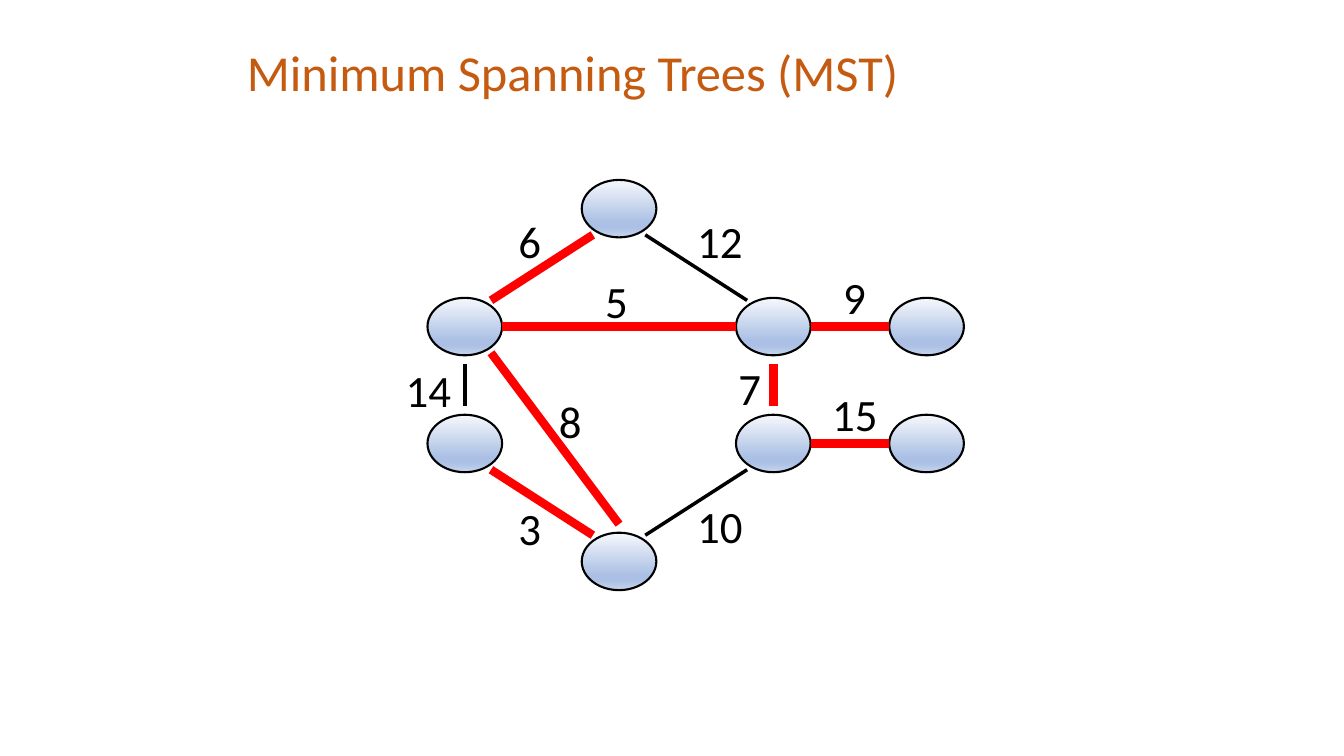
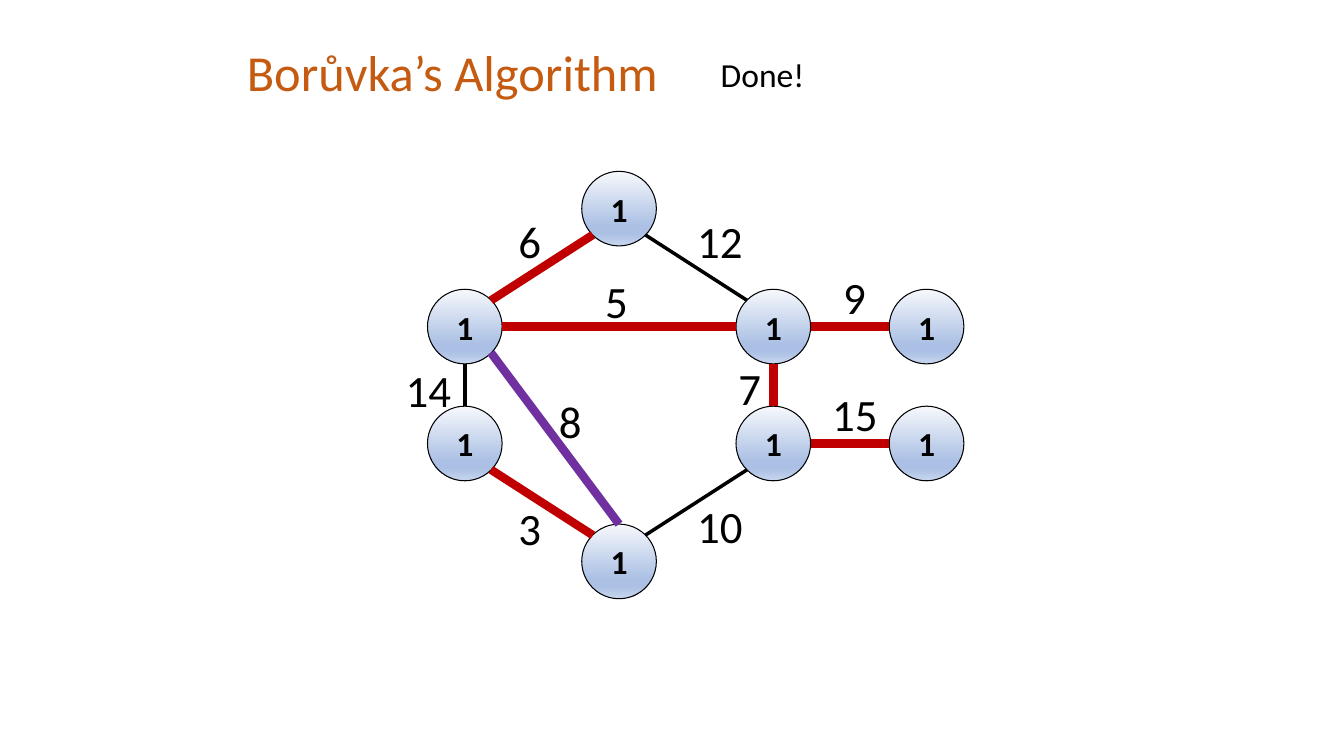
from copy import deepcopy

from lxml.etree import SubElement
from pptx import Presentation
from pptx.dml.color import RGBColor
from pptx.enum.shapes import MSO_CONNECTOR, MSO_SHAPE
from pptx.enum.text import MSO_ANCHOR, MSO_AUTO_SIZE, PP_ALIGN
from pptx.oxml.ns import qn
from pptx.util import Inches, Pt

FONT = "Calibri"
BLACK = "000000"
ORANGE = "C55A11"
RED = "FF0000"
DARK_RED = "C00000"
PURPLE = "7030A0"
NODE_GRADIENT = [(0, "F6F8FC"), (0.74, "ABC0E4"), (0.83, "ABC0E4"), (1, "C7D5ED")]

NODE_WIDTH = 0.74
COLUMNS = [4.61, 6.14, 7.67, 9.19]
ROWS = [2.07, 3.24, 4.4, 5.57]
NODES = {
    "top": (1, 0),
    "upper left": (0, 1),
    "upper right": (2, 1),
    "lower left": (0, 2),
    "lower right": (2, 2),
    "bottom": (1, 3),
    "upper far": (3, 1),
    "lower far": (3, 2),
}
REACH = 0.37
DIAGONAL = 0.26
SITES = {
    "N": (0, -REACH),
    "S": (0, REACH),
    "E": (REACH, 0),
    "W": (-REACH, 0),
    "NE": (DIAGONAL, -DIAGONAL),
    "NW": (-DIAGONAL, -DIAGONAL),
    "SE": (DIAGONAL, DIAGONAL),
    "SW": (-DIAGONAL, DIAGONAL),
}
EDGES = [
    (6, "upper left", "NE", "top", "SW", (5.04, 2.07)),
    (14, "upper left", "S", "lower left", "N", (3.92, 3.55)),
    (3, "bottom", "NW", "lower left", "SE", (5.04, 4.92)),
    (10, "lower right", "SW", "bottom", "NE", (6.81, 4.9)),
    (7, "lower right", "N", "upper right", "S", (7.22, 3.53)),
    (12, "upper right", "NW", "top", "SE", (6.81, 2.07)),
    (5, "upper left", "E", "upper right", "W", (5.9, 2.67)),
    (8, "upper left", "SE", "bottom", "N", (5.44, 3.86)),
    (9, "upper right", "E", "upper far", "W", (8.26, 2.63)),
    (15, "lower right", "E", "lower far", "W", (8.15, 3.79)),
]
TREE_WEIGHTS = [3, 5, 6, 7, 8, 9, 15]


def color(hex_code):
    """Turn a hex string into a colour."""
    return RGBColor.from_string(hex_code)


def write(paragraph, text, size, hex_code=BLACK, bold=False):
    """Add one styled run to a paragraph."""
    run = paragraph.add_run()
    run.text = text
    run.font.name = FONT
    run.font.size = Pt(size)
    run.font.bold = bold
    run.font.color.rgb = color(hex_code)


def add_title(slide, text):
    """Add the slide title."""
    title = slide.shapes.add_textbox(Inches(2.35), Inches(0.25), Inches(8.62), Inches(1))
    frame = title.text_frame
    frame.word_wrap = True
    frame.vertical_anchor = MSO_ANCHOR.MIDDLE
    frame.paragraphs[0].line_spacing = 0.9
    write(frame.paragraphs[0], text, 36, ORANGE)


def add_label(slide, text, position, width, height, size, align):
    """Add a short unwrapped text."""
    left, top = position
    label = slide.shapes.add_textbox(Inches(left), Inches(top), Inches(width), Inches(height))
    frame = label.text_frame
    frame.word_wrap = False
    frame.auto_size = MSO_AUTO_SIZE.SHAPE_TO_FIT_TEXT
    frame.paragraphs[0].alignment = align
    write(frame.paragraphs[0], text, size)


def fill_node(node):
    """Give a node its vertical four-stop gradient."""
    node.fill.gradient()
    node.fill.gradient_angle = 270
    stop_list = node._element.spPr.find(qn("a:gradFill")).find(qn("a:gsLst"))
    while len(stop_list) < len(NODE_GRADIENT):
        stop_list.append(deepcopy(stop_list[0]))
    for stop, (position, hex_code) in zip(node.fill.gradient_stops, NODE_GRADIENT):
        stop.position = position
        stop.color.rgb = color(hex_code)


def node_center(name):
    """Look up the centre of a node on the grid."""
    column, row = NODES[name]
    return COLUMNS[column], ROWS[row]


def add_node(slide, name, height, outline, component):
    """Add a graph node, with its component number if there is one."""
    x, y = node_center(name)
    node = slide.shapes.add_shape(
        MSO_SHAPE.OVAL, Inches(x - NODE_WIDTH / 2), Inches(y - height / 2),
        Inches(NODE_WIDTH), Inches(height))
    node.shadow.inherit = False
    fill_node(node)
    node.line.color.rgb = color(BLACK)
    node.line.width = Pt(outline)
    if component:
        node.text_frame.vertical_anchor = MSO_ANCHOR.MIDDLE
        paragraph = node.text_frame.paragraphs[0]
        paragraph.alignment = PP_ALIGN.CENTER
        write(paragraph, component, 24, bold=True)


def site_point(name, site):
    """Find the point where an edge meets a node."""
    x, y = node_center(name)
    dx, dy = SITES[site]
    return Inches(x + dx), Inches(y + dy)


def add_edge(slide, start, end, hex_code, width):
    """Add a straight edge between two points."""
    edge = slide.shapes.add_connector(MSO_CONNECTOR.STRAIGHT, *start, *end)
    edge.line.color.rgb = color(hex_code)
    edge.line.width = Pt(width)
    SubElement(edge._element.spPr, qn("a:effectLst"))


def add_graph(slide, tree_colors, node_height, outline, component=None):
    """Draw nodes, edges and weights, with the tree edges highlighted."""
    for name in NODES:
        add_node(slide, name, node_height, outline, component)
    for weight, source, source_site, target, target_site, _ in EDGES:
        in_tree = weight in tree_colors
        add_edge(slide, site_point(source, source_site), site_point(target, target_site),
                 tree_colors.get(weight, BLACK), 6 if in_tree else 2.5)
    for weight, *_, position in EDGES:
        width = 0.66 if weight > 9 else 0.43
        add_label(slide, str(weight), position, width, 0.64, 32, PP_ALIGN.CENTER)


def main():
    """Build and save the presentation."""
    deck = Presentation()
    deck.slide_width = Inches(13.33)
    deck.slide_height = Inches(7.5)
    blank = deck.slide_layouts[6]

    spanning_tree = deck.slides.add_slide(blank)
    add_title(spanning_tree, "Minimum Spanning Trees (MST)")
    add_graph(spanning_tree, dict.fromkeys(TREE_WEIGHTS, RED), 0.57, 1.5)

    boruvka = deck.slides.add_slide(blank)
    add_title(boruvka, "Borůvka’s Algorithm")
    boruvka_colors = {**dict.fromkeys(TREE_WEIGHTS, DARK_RED), 8: PURPLE}
    add_graph(boruvka, boruvka_colors, NODE_WIDTH, 0.75, "1")
    add_label(boruvka, "Done!", (7.05, 0.49), 1.04, 0.5, 24, PP_ALIGN.LEFT)

    deck.save("out.pptx")


if __name__ == "__main__":
    main()
